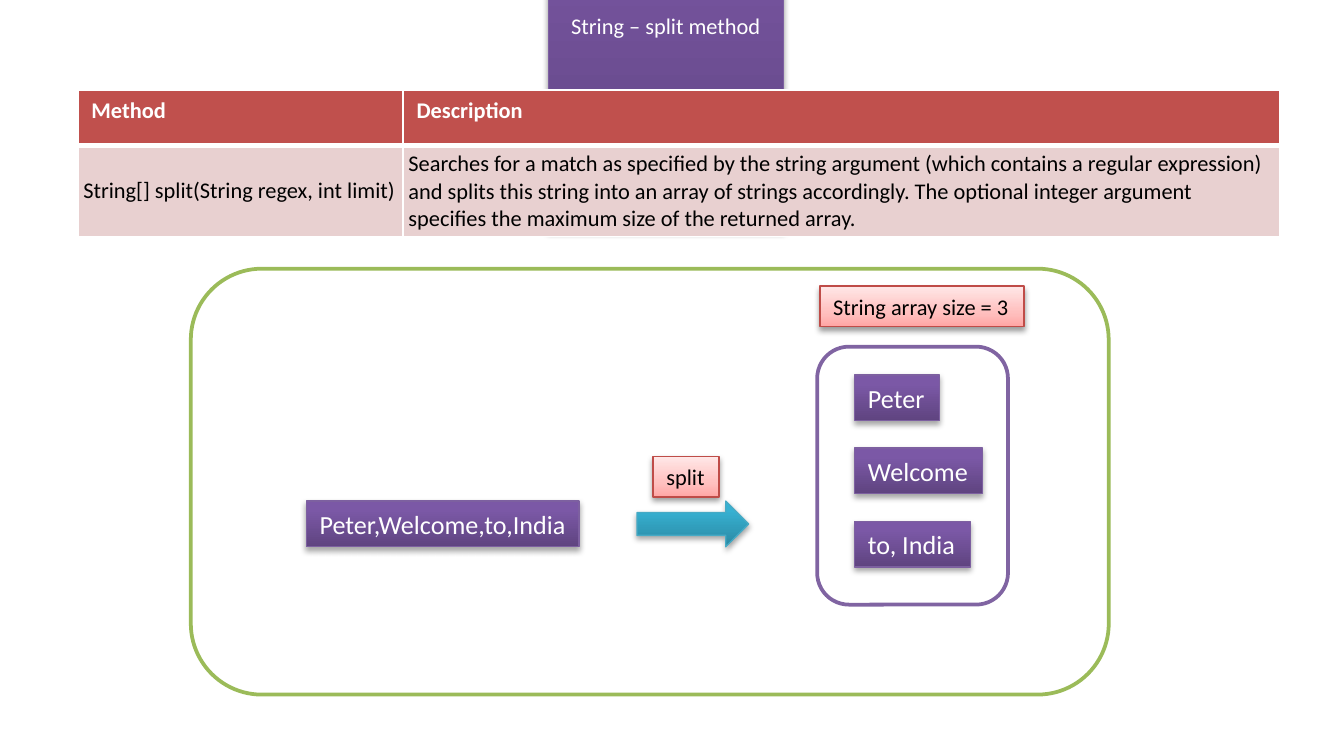
from lxml.etree import SubElement
from pptx import Presentation
from pptx.dml.color import RGBColor
from pptx.enum.shapes import MSO_SHAPE as SHAPE
from pptx.enum.text import MSO_ANCHOR as ANCHOR, MSO_AUTO_SIZE as AUTO, PP_ALIGN as ALIGN
from pptx.oxml.ns import qn
from pptx.util import Inches, Pt

COLORS = {
    "white": "FFFFFF", "black": "000000", "green": "9BBB59", "purple": "8064A2",
    "header": "C0504D", "body": "E8D0D0",
}
# Each theme: gradient stops (percent, colour), outline, text, shadow opacity
THEMES = {
    "purple": ([(0, "5F4480"), (80, "7B58A6"), (100, "7C57A8")], "7D60A0", "white", 35),
    "teal": ([(0, "2A88A2"), (80, "37B1D2"), (100, "34B4D6")], "46AAC5", "white", 35),
    "pink": ([(0, "FFA6A5"), (35, "FFC0BF"), (100, "FFE7E7")], "BF4C48", "black", 38),
}


def rgb(name):
    return RGBColor.from_string(COLORS.get(name, name))


def add_color(parent, value):
    return SubElement(parent, qn("a:srgbClr"), val=value)


class SlideBuilder:
    font = "Calibri"

    def __init__(self, slide):
        self.slide = slide

    def style_text(self, p, size, color, bold=False):
        p.font.name, p.font.size, p.font.bold = self.font, Pt(size), bold
        p.font.color.rgb = rgb(color)

    def apply_theme(self, s, theme):
        """Give a shape the gradient, outline and soft shadow of a theme."""
        stops, outline, _, opacity = THEMES[theme]
        s.fill.gradient()
        s.fill.gradient_angle = 90
        sp_pr = s._element.spPr
        gs_list = sp_pr.find(qn("a:gradFill")).find(qn("a:gsLst"))
        gs_list.clear()
        for percent, color in stops:
            add_color(SubElement(gs_list, qn("a:gs"), pos=str(percent * 1000)), color)
        s.line.color.rgb, s.line.width = rgb(outline), Pt(0.75)
        s.shadow.inherit = False
        shadow = SubElement(
            sp_pr.find(qn("a:effectLst")), qn("a:outerShdw"), blurRad=str(Pt(3.1)),
            dist=str(Pt(1.8)), dir="5400000", rotWithShape="0")
        SubElement(add_color(shadow, COLORS["black"]), qn("a:alpha"), val=str(opacity * 1000))

    def title(self, text, x, y, w, h):
        s = self.slide.shapes.title
        s.left, s.top, s.width, s.height = map(Inches, (x, y, w, h))
        self.apply_theme(s, "purple")
        tf = s.text_frame
        tf.text = text
        tf.auto_size = AUTO.SHAPE_TO_FIT_TEXT
        tf.paragraphs[0].alignment = ALIGN.CENTER
        self.style_text(tf.paragraphs[0], 12, "white")

    def shape(self, kind, x, y, w, h):
        return self.slide.shapes.add_shape(kind, *map(Inches, (x, y, w, h)))

    def frame(self, color, x, y, w, h):
        s = self.shape(SHAPE.ROUNDED_RECTANGLE, x, y, w, h)
        s.shadow.inherit = False
        s.fill.solid()
        s.fill.fore_color.rgb = rgb("white")
        s.line.color.rgb, s.line.width = rgb(color), Pt(2)

    def arrow(self, theme, x, y, w, h):
        self.apply_theme(self.shape(SHAPE.RIGHT_ARROW, x, y, w, h), theme)

    def label(self, text, theme, size, x, y, w, h):
        s = self.shape(SHAPE.RECTANGLE, x, y, w, h)
        self.apply_theme(s, theme)
        tf = s.text_frame
        tf.text = text
        tf.word_wrap, tf.auto_size = False, AUTO.SHAPE_TO_FIT_TEXT
        tf.paragraphs[0].alignment = ALIGN.LEFT
        self.style_text(tf.paragraphs[0], size, THEMES[theme][2])

    def cell(self, cell, text, is_header):
        tc_pr = cell._tc.get_or_add_tcPr()
        thick_edge = "lnB" if is_header else "lnT"
        for edge in ("lnL", "lnR", "lnT", "lnB"):
            width = Pt(3 if edge == thick_edge else 1)
            ln = SubElement(tc_pr, qn(f"a:{edge}"), w=str(width))
            add_color(SubElement(ln, qn("a:solidFill")), COLORS["white"])
        cell.fill.solid()
        cell.fill.fore_color.rgb = rgb("header" if is_header else "body")
        cell.text = text
        if not is_header:
            cell.vertical_anchor = ANCHOR.MIDDLE
            cell.margin_left = cell.margin_right = Inches(0.04)
            cell.margin_top = cell.margin_bottom = Inches(0.04)
        self.style_text(cell.text_frame.paragraphs[0], 12,
                        "white" if is_header else "black", is_header)

    def table(self, rows, x, y, widths, heights):
        table = self.slide.shapes.add_table(
            len(rows), len(widths),
            *map(Inches, (x, y, sum(widths), sum(heights)))).table
        for column, width in zip(table.columns, widths):
            column.width = Inches(width)
        for i, (row, height) in enumerate(zip(rows, heights)):
            table.rows[i].height = Inches(height)
            for j, text in enumerate(row):
                self.cell(table.cell(i, j), text, i == 0)


def main():
    prs = Presentation()
    prs.slide_width, prs.slide_height = Inches(10), Inches(5.5)
    b = SlideBuilder(prs.slides.add_slide(prs.slide_layouts[5]))

    b.frame("green", 1.42, 2, 6.83, 3.17)
    b.frame("purple", 6.08, 2.58, 1.42, 1.92)
    b.title("String – split method", 4.08, 0.04, 1.75, 0.3)
    b.table([
        ("Method", "Description"),
        ("String[] split(String regex, int limit)",
         "Searches for a match as specified by the string argument (which contains "
         "a regular expression) and splits this string into an array of strings "
         "accordingly. The optional integer argument specifies the maximum size of "
         "the returned array."),
    ], 0.58, 0.67, (2.42, 6.52), (0.41, 0.68))

    b.label("Peter,Welcome,to,India", "purple", 14, 2.28, 3.73, 2.03, 0.34)
    b.arrow("teal", 4.74, 3.73, 0.83, 0.34)
    b.label("split", "pink", 12, 4.86, 3.4, 0.49, 0.3)

    b.label("String array size = 3", "pink", 12, 6.1, 2.13, 1.52, 0.3)
    parts = [("Peter", 0.63), ("Welcome", 0.95), ("to, India", 0.86)]
    for i, (text, width) in enumerate(parts):
        b.label(text, "purple", 14, 6.36, 2.79 + i * 0.545, width, 0.34)

    prs.save("out.pptx")


if __name__ == "__main__":
    main()
